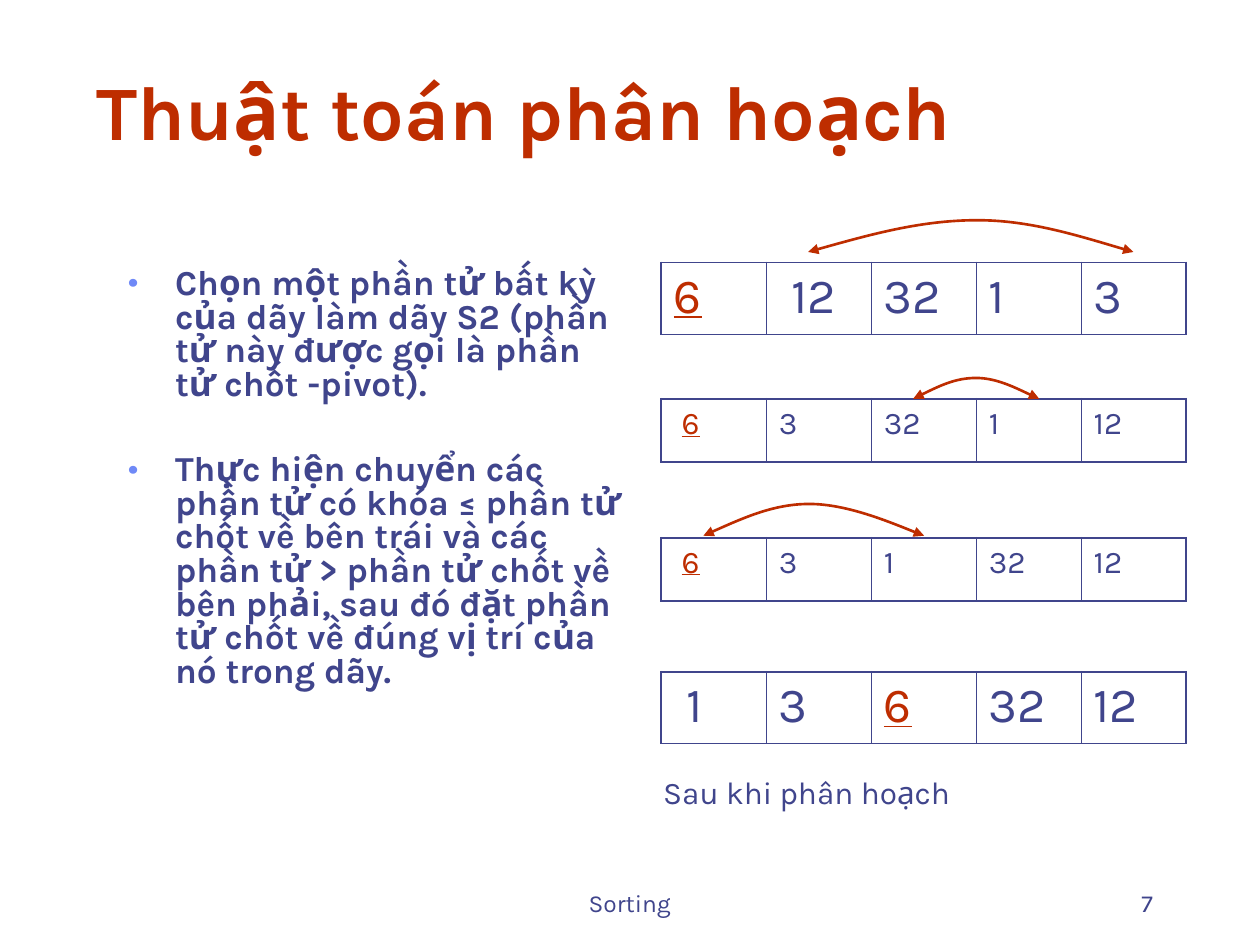
from lxml.etree import SubElement as Sub
from pptx import Presentation
from pptx.dml.color import RGBColor as RGB
from pptx.enum.text import MSO_ANCHOR as ANCHOR, PP_ALIGN as ALIGN
from pptx.oxml.ns import qn
from pptx.util import Cm, Pt

FONT = "Karla"
COLORS = {"ink": "40458C", "accent": "BE2D00", "bullet": "6F89F7"}


def add_run(p, text, size, color="ink", bold=False, underline=False):
    r = p.add_run()
    r.text = text
    f = r.font
    f.name, f.size, f.bold, f.underline = FONT, Pt(size), bold, underline
    f.color.rgb = RGB.from_string(COLORS[color])


def add_box(s, box, anchor=ANCHOR.TOP):
    tf = s.shapes.add_textbox(*map(Cm, box)).text_frame
    tf.word_wrap = True
    tf.vertical_anchor = anchor
    return tf


def add_line(s, box, text, size, align=ALIGN.LEFT, anchor=ANCHOR.BOTTOM, **style):
    """One line of text in its own box."""
    p = add_box(s, box, anchor).paragraphs[0]
    p.alignment = align
    add_run(p, text, size, **style)


def add_bullets(s, box, items):
    tf = add_box(s, box)
    for i, text in enumerate(items):
        p = tf.paragraphs[0] if i == 0 else tf.add_paragraph()
        pPr = p._p.get_or_add_pPr()
        pPr.set("marL", str(Cm(0.95)))
        pPr.set("indent", str(-Cm(0.95)))
        Sub(Sub(pPr, qn("a:buClr")), qn("a:srgbClr"), val=COLORS["bullet"])
        Sub(pPr, qn("a:buSzPct"), val="110000")
        Sub(pPr, qn("a:buFont"), typeface=FONT)
        Sub(pPr, qn("a:buChar"), char="•")
        p.line_spacing = 0.8
        if i:
            p.space_before = Pt(29.5)
        add_run(p, text, 20, bold=True)


def set_borders(cell, first, last):
    """Thin rules between cells, heavier ones around the row."""
    widths = {"L": 1.08 if first else 0.45, "R": 1.08 if last else 0.45,
              "T": 1.08, "B": 1.08}
    tcPr = cell._tc.get_or_add_tcPr()
    for i, (side, width) in enumerate(widths.items()):
        ln = Sub(tcPr, qn(f"a:ln{side}"), w=str(Pt(width)))
        Sub(Sub(ln, qn("a:solidFill")), qn("a:srgbClr"), val=COLORS["ink"])
        tcPr.insert(i, ln)


def add_array(s, box, values, size, pivot, indented):
    """A one-row table; the pivot is marked, one cell may be indented."""
    left, top, width, height = box
    n = len(values)
    table = s.shapes.add_table(1, n, *map(Cm, box)).table
    table.first_row = table.horz_banding = False
    table.rows[0].height = Cm(height)
    for i, value in enumerate(values):
        table.columns[i].width = Cm(width / n)
        cell = table.cell(0, i)
        cell.fill.background()
        if i == indented:
            cell.margin_left = Cm(0.25 + size * 0.009)
        marked = i == pivot
        add_run(cell.text_frame.paragraphs[0], str(value), size,
                color="accent" if marked else "ink", underline=marked)
        set_borders(cell, i == 0, i == n - 1)


def curve_segments(sp):
    """Turn each three line segments of a freeform into one cubic curve."""
    outline = next(sp._element.iter(qn("a:lnTo"))).getparent()
    lines = outline.findall(qn("a:lnTo"))
    for i in range(0, len(lines), 3):
        curve = Sub(outline, qn("a:cubicBezTo"))
        for line in lines[i:i + 3]:
            curve.append(line[0])
            outline.remove(line)


def add_swap_arc(s, box, peak, handle):
    """Double-headed arc; peak and last handle are fractions of the box."""
    left, top, width, height = box
    points = [(peak / 3, 0.5), (peak * 2 / 3, 0), (peak, 0),
              (peak + (1 - peak) / 3, 0), handle, (1, 1)]

    def place(x, y):
        return Cm(left + x * width), Cm(top + y * height)

    fb = s.shapes.build_freeform(*place(0, 1))
    fb.add_line_segments([place(*pt) for pt in points], close=False)
    sp = fb.convert_to_shape()
    curve_segments(sp)
    sp.shadow.inherit = False
    sp.fill.background()
    sp.line.color.rgb = RGB.from_string(COLORS["accent"])
    sp.line.width = Pt(1.5)
    ln = sp.line._get_or_add_ln()
    for end_tag in ("a:headEnd", "a:tailEnd"):
        Sub(ln, qn(end_tag), type="triangle")


def add_steps(s, box):
    """The array after each swap, with arcs over the swapped cells."""
    left, top, width = box
    # offset, height, values, text size, pivot cell, indented cell
    arrays = [
        (0, 1.45, (6, 12, 32, 1, 3), 28, 0, 1),
        (2.75, 1.27, (6, 3, 32, 1, 12), 18, 0, 0),
        (5.55, 1.27, (6, 3, 1, 32, 12), 18, 0, 0),
        (8.25, 1.45, (1, 3, 6, 32, 12), 28, 2, 0),
    ]
    for dy, height, *row in arrays:
        add_array(s, (left, top + dy, width, height), *row)

    # x, y, width, height, peak, last handle
    arcs = [
        (2.96, -0.85, 6.56, 0.64, 0.52, (0.84, 0.52)),
        (5.08, 2.33, 2.54, 0.42, 0.5, (0.93, 0.82)),
        (0.85, 4.87, 4.45, 0.64, 0.48, (0.91, 0.76)),
    ]
    for dx, dy, w, h, peak, handle in arcs:
        add_swap_arc(s, (left + dx, top + dy, w, h), peak, handle)

    add_line(s, (left - 0.21, top + 10.16, 9.74, 1.02), "Sau khi phân hoạch",
             18, anchor=ANCHOR.TOP)


def add_footer(s, box):
    left, top, width, height = box
    add_line(s, (left, top, 8.05, height), "Sorting", 14, ALIGN.CENTER)
    add_line(s, (left + width - 5.28, top, 5.28, height), "7", 14, ALIGN.RIGHT)


def main():
    prs = Presentation()
    prs.slide_width, prs.slide_height = Cm(25.4), Cm(19.05)
    s = prs.slides.add_slide(prs.slide_layouts[6])

    add_line(s, (1.7, 0.87, 21.59, 2.4), "Thuật toán phân hoạch", 44,
             color="accent", bold=True)
    add_bullets(s, (2.33, 5.29, 10.58, 11.43), [
        "Chọn một phần tử bất kỳ của dãy làm dãy S2 (phần tử này được gọi là "
        "phần tử chốt -pivot).",
        "Thực hiện chuyển các phần tử có khóa ≤ phần tử chốt về bên trái và "
        "các phần tử > phần tử chốt về bên phải, sau đó đặt phần tử chốt về "
        "đúng vị trí của nó trong dãy.",
    ])
    add_steps(s, (13.33, 5.29, 10.58))
    add_footer(s, (8.67, 17.34, 14.82, 1.27))

    prs.save("out.pptx")


if __name__ == "__main__":
    main()
